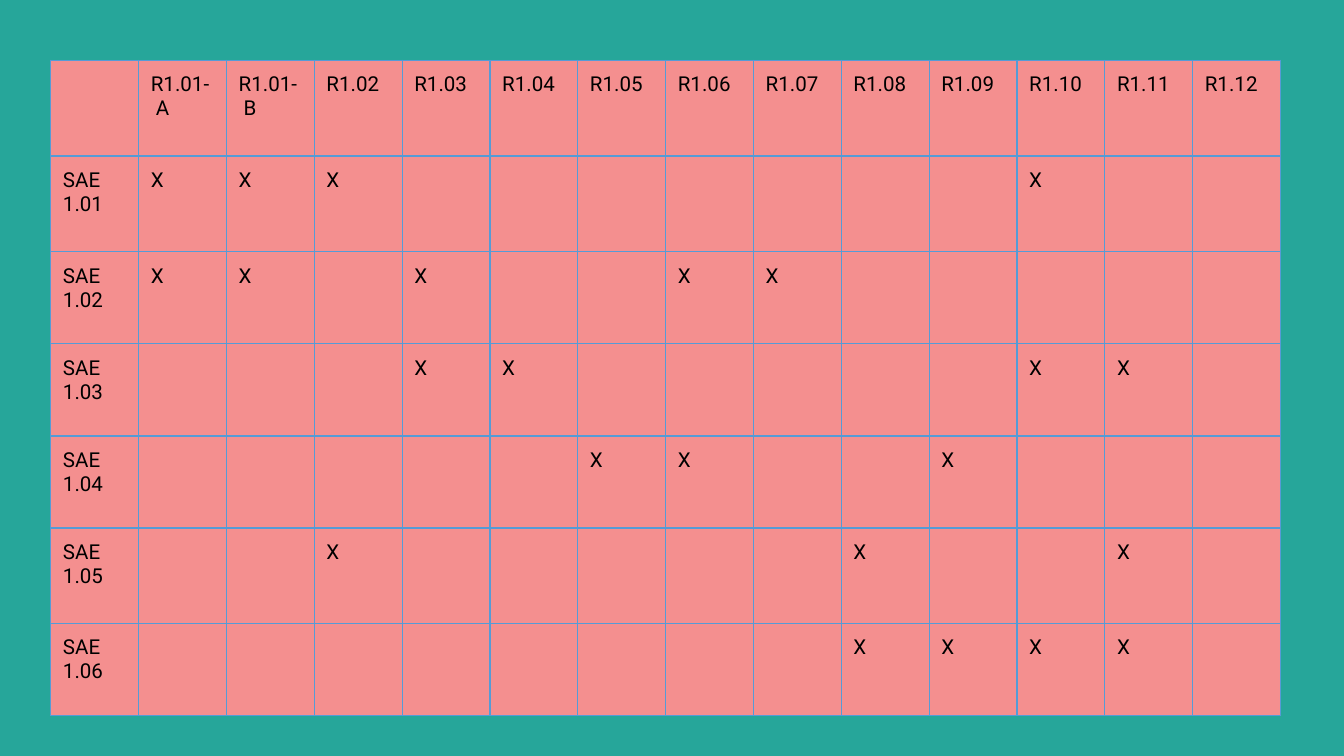
from lxml.etree import SubElement
from pptx import Presentation
from pptx.dml.color import RGBColor
from pptx.oxml.ns import qn
from pptx.util import Cm, Pt

# Content: column headings, then the columns marked for each project
HEADINGS = ["R1.01-\v A", "R1.01-\v B"] + [f"R1.{number:02}" for number in range(2, 13)]
MARK = "Χ"
PROJECTS = [
    ("SAE 1.01", [1, 2, 3, 11]),
    ("SAE 1.02", [1, 2, 4, 7, 8]),
    ("SAE 1.03", [4, 5, 11, 12]),
    ("SAE 1.04", [6, 7, 10]),
    ("SAE 1.05", [3, 9, 12]),
    ("SAE 1.06", [9, 10, 11, 12]),
]

TEAL = RGBColor(0x26, 0xA6, 0x9A)
PINK = RGBColor(0xF4, 0x8F, 0x8F)
BLUE = RGBColor(0x55, 0x9B, 0xD6)
BLACK = RGBColor(0, 0, 0)
FONT = "Roboto"

LEFT, TOP = Cm(0.96), Cm(1.14)
COLUMN_WIDTH = Cm(1.66)
ROW_HEIGHTS = [Cm(height) for height in (1.81, 1.81, 1.74, 1.74, 1.74, 1.81, 1.74)]


def add_borders(cell):
    properties = cell._tc.get_or_add_tcPr()
    for side in ("a:lnL", "a:lnR", "a:lnT", "a:lnB"):
        line = SubElement(properties, qn(side), w=str(Pt(0.75)))
        fill = SubElement(line, qn("a:solidFill"))
        SubElement(fill, qn("a:srgbClr"), val=str(BLUE))


def style_cell(cell, text):
    add_borders(cell)
    cell.fill.solid()
    cell.fill.fore_color.rgb = PINK
    cell.margin_left = cell.margin_top = Cm(0.23)
    cell.margin_right = cell.margin_bottom = 0
    if text:
        cell.text = text
        paragraph = cell.text_frame.paragraphs[0]
        for font in [paragraph.font] + [run.font for run in paragraph.runs]:
            font.name = FONT
            font.size = Pt(11)
            font.color.rgb = BLACK


presentation = Presentation()
presentation.slide_width, presentation.slide_height = Cm(25.4), Cm(14.29)
slide = presentation.slides.add_slide(presentation.slide_layouts[6])

# Background
slide.background.fill.solid()
slide.background.fill.fore_color.rgb = TEAL

# Matrix of projects and resources
columns = range(1, len(HEADINGS) + 1)
rows = [[""] + HEADINGS]
for project, marked in PROJECTS:
    rows.append([project] + [MARK if column in marked else "" for column in columns])

table = slide.shapes.add_table(
    len(rows), len(rows[0]), LEFT, TOP, COLUMN_WIDTH * len(rows[0]), sum(ROW_HEIGHTS)
).table
table.first_row = table.horz_banding = False
for column in table.columns:
    column.width = COLUMN_WIDTH
for row, height, texts in zip(table.rows, ROW_HEIGHTS, rows):
    row.height = height
    for cell, text in zip(row.cells, texts):
        style_cell(cell, text)

presentation.save("out.pptx")
